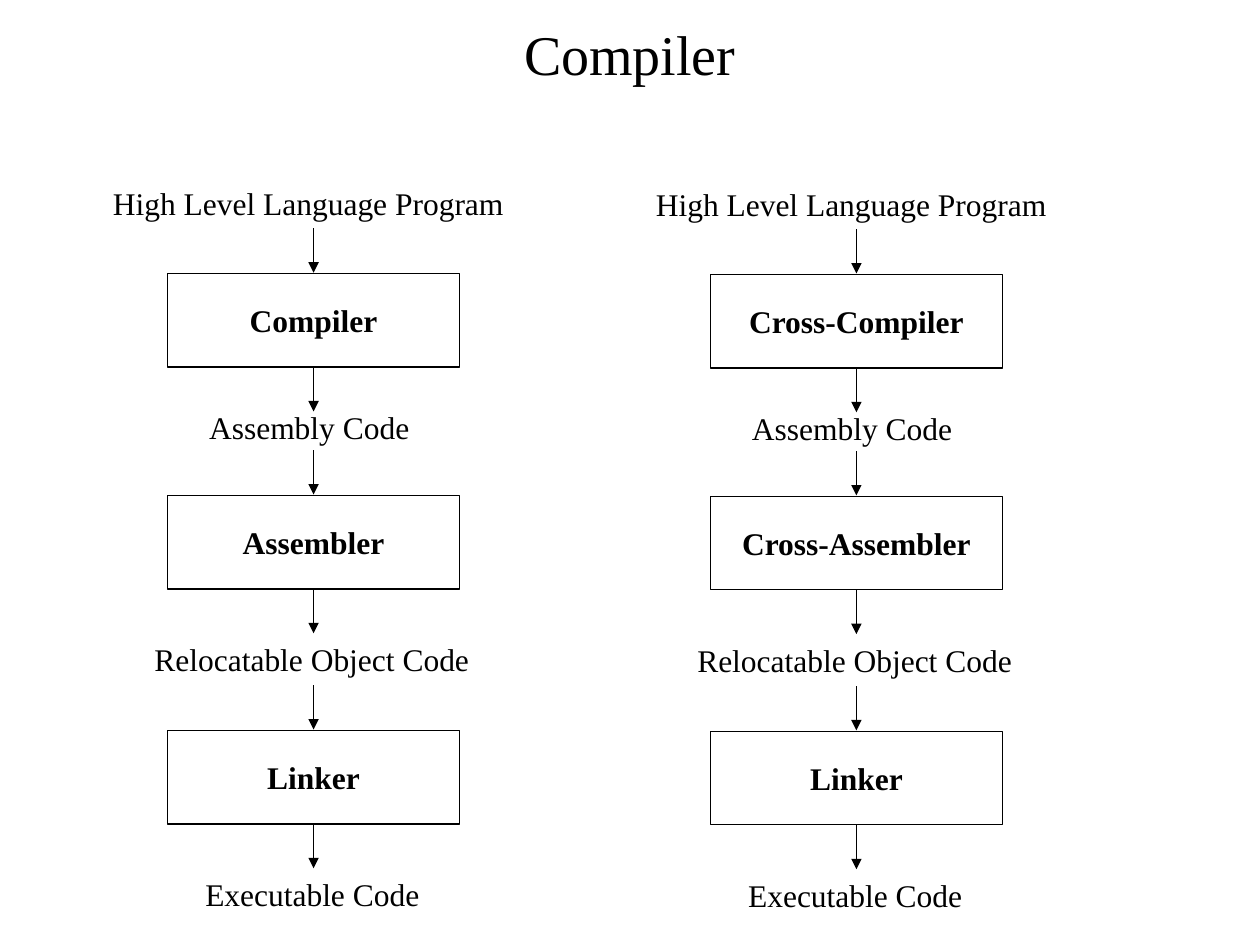
import pptx
import pptx.util
import pptx.dml.color
import pptx.enum.shapes
import pptx.enum.text
import pptx.oxml.ns
import lxml.etree

Pt = pptx.util.Pt
Align = pptx.enum.text.PP_ALIGN
Anchor = pptx.enum.text.MSO_ANCHOR


def colour(code):
    return pptx.dml.color.RGBColor.from_string(code)


class Sheet:
    """Holds the style and the current slide."""
    ink = "000000"
    font = "Times New Roman"
    line_width = 0.75

    def __init__(self, page):
        self.page = page

    def put_text(self, shape, text, align, anchor, wrap=False, **style):
        frame = shape.text_frame
        frame.word_wrap = wrap
        frame.vertical_anchor = anchor
        para = frame.paragraphs[0]
        para.alignment = align
        span = para.add_run()
        span.text = text
        for name, value in {"name": self.font, "size": Pt(18), **style}.items():
            setattr(span.font, name, value)
        span.font.color.rgb = colour(self.ink)

    def outline(self, shape):
        shape.line.color.rgb = colour(self.ink)
        shape.line.width = Pt(self.line_width)

    def title(self, text, *place):
        box = self.page.shapes.add_textbox(*map(Pt, place))
        self.put_text(box, text, Align.CENTER, Anchor.MIDDLE, wrap=True, size=Pt(32))

    def label(self, text, *place):
        box = self.page.shapes.add_textbox(*map(Pt, place))
        self.put_text(box, text, Align.LEFT, Anchor.TOP)

    def box(self, text, *place):
        kind = pptx.enum.shapes.MSO_SHAPE.RECTANGLE
        box = self.page.shapes.add_shape(kind, *map(Pt, place))
        box.shadow.inherit = False
        box.fill.background()
        self.outline(box)
        self.put_text(box, text, Align.CENTER, Anchor.MIDDLE, bold=True)

    def arrow(self, x, top, bottom):
        kind = pptx.enum.shapes.MSO_CONNECTOR.STRAIGHT
        arrow = self.page.shapes.add_connector(kind, *map(Pt, (x, top, x, bottom)))
        self.outline(arrow)
        qn = pptx.oxml.ns.qn
        properties = arrow._element.spPr
        lxml.etree.SubElement(properties.find(qn("a:ln")), qn("a:tailEnd"), type="triangle")
        lxml.etree.SubElement(properties, qn("a:effectLst"))


deck = pptx.Presentation()
deck.slide_width, deck.slide_height = Pt(720), Pt(540)
sheet = Sheet(deck.slides.add_slide(deck.slide_layouts[6]))

sheet.title("Compiler", 54, 12.2, 612, 36)

# Tool chains: left edge, top shift and the tool in each box
chains = [
    (95.7, 0, ["Compiler", "Assembler", "Linker"]),
    (405.9, 0.5, ["Cross-Compiler", "Cross-Assembler", "Linker"]),
]
box_width, box_height = 167, 53.4
box_tops = [156.4, 283.2, 417.5]
arrow_length, arrow_gap = 25.3, 0.6

# Program forms: text, offset from the chain's left edge, top, width
forms = [
    ("High Level Language Program", -38.2, 101.7, 240.5),
    ("Assembly Code", 16.7, 229.7, 130.3),
    ("Relocatable Object Code", -14.5, 362.1, 196.6),
    ("Executable Code", 14.5, 496.3, 138.2),
]

for left, shift, tools in chains:
    middle = left + box_width / 2
    # Boxes, each with an arrow in and an arrow out
    for tool, box_top in zip(tools, box_tops):
        top = box_top + shift
        bottom = top + box_height
        sheet.box(tool, left, top, box_width, box_height)
        sheet.arrow(middle, top - arrow_gap - arrow_length, top - arrow_gap)
        sheet.arrow(middle, bottom, bottom + arrow_length)
    # Labels between the boxes
    for text, offset, top, width in forms:
        sheet.label(text, left + offset, top + shift, width, 28.8)

deck.save("out.pptx")
